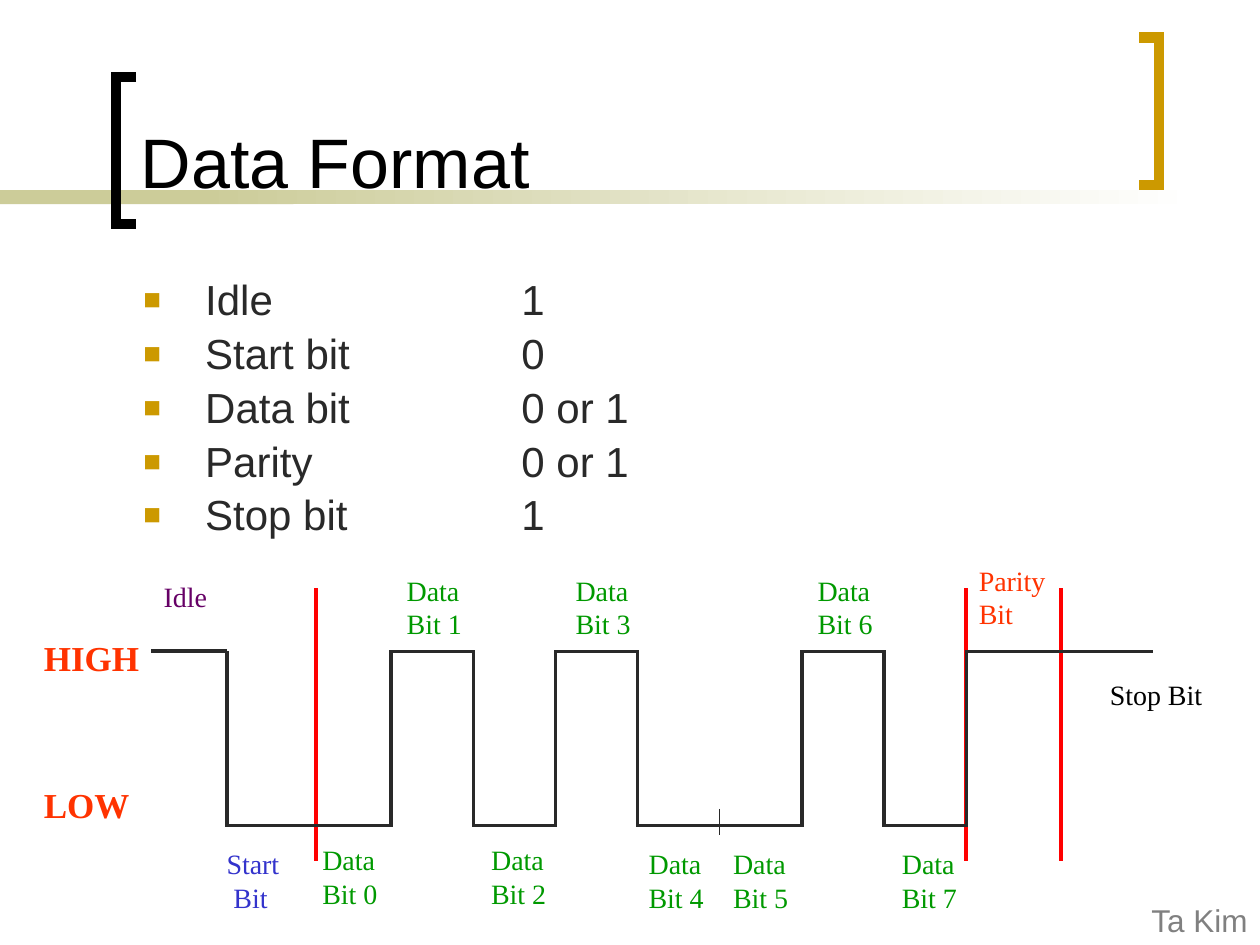
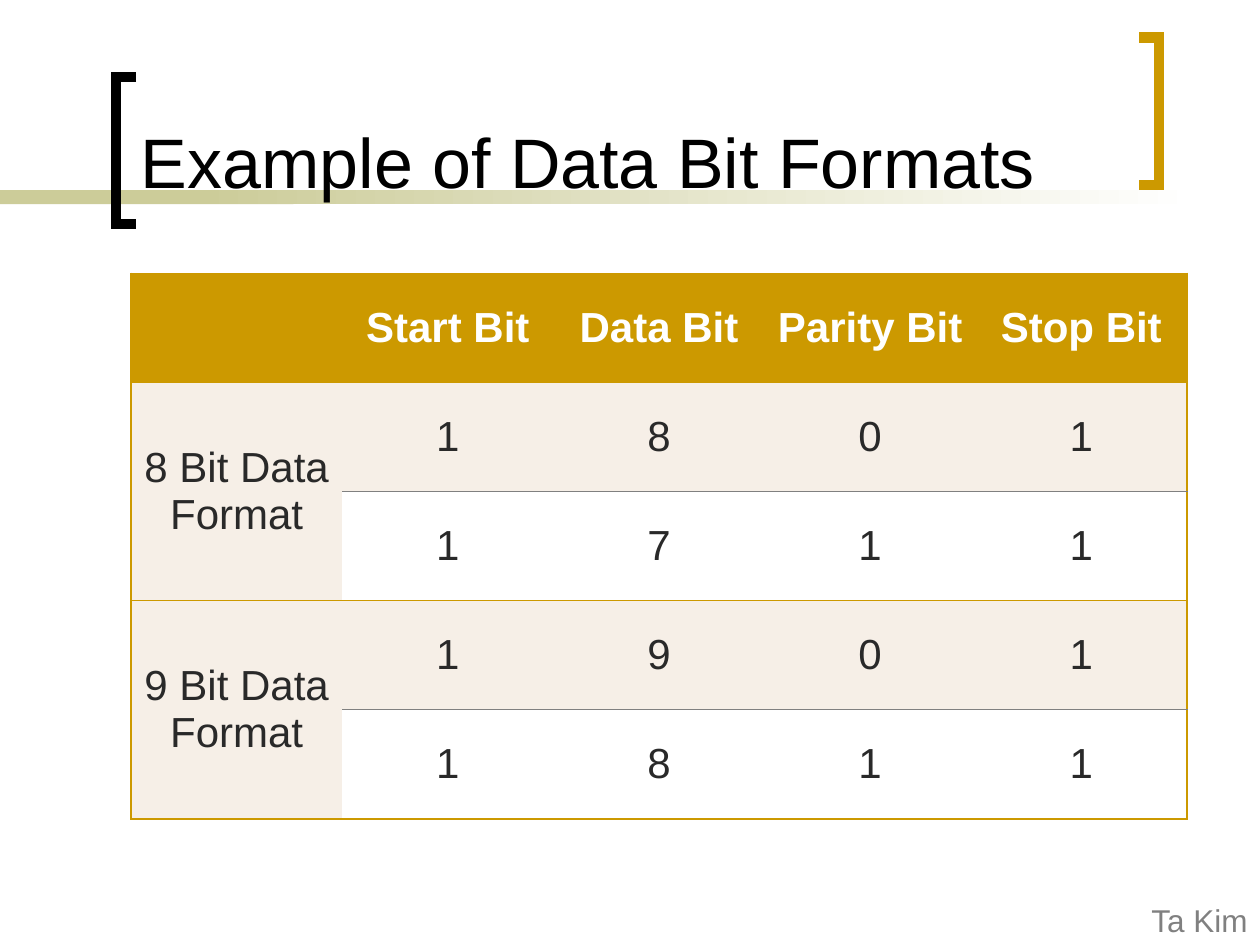
import lxml.etree
import pptx
import pptx.dml.color
import pptx.enum.shapes
import pptx.enum.text
import pptx.oxml
import pptx.oxml.ns
import pptx.util

Inches = pptx.util.Inches
Pt = pptx.util.Pt
Align = pptx.enum.text.PP_ALIGN
Anchor = pptx.enum.text.MSO_ANCHOR
rgb = pptx.dml.color.RGBColor.from_string
qn = pptx.oxml.ns.qn

BLACK, WHITE, INK, GRAY = "000000", "FFFFFF", "292929", "808080"
GOLD, KHAKI, CREAM = "CC9900", "CCCC99", "F6EFE7"
RED, ORANGE, GREEN, BLUE, PURPLE = "FF0000", "FF3300", "009900", "3333CC", "660066"
SANS, SERIF = "Arial", "Times New Roman"


def add_text(slide, box, lines, size, color, font=SERIF, bold=False, wrap=False):
    """Add a text box with one paragraph per line and return its text frame."""
    frame = slide.shapes.add_textbox(*[Inches(value) for value in box]).text_frame
    frame.word_wrap = wrap
    if not wrap:
        frame.auto_size = pptx.enum.text.MSO_AUTO_SIZE.SHAPE_TO_FIT_TEXT
    frame.text = "\n".join(lines)
    for paragraph in frame.paragraphs:
        for run in paragraph.runs:
            run.font.name = font
            run.font.size = Pt(size)
            run.font.bold = bold
            run.font.color.rgb = rgb(color)
    return frame


def add_outline(slide, points, color, width):
    """Draw an open, unfilled line with square corners through the points."""
    corners = [(Inches(x), Inches(y)) for x, y in points]
    builder = slide.shapes.build_freeform(*corners[0])
    builder.add_line_segments(corners[1:], close=False)
    shape = builder.convert_to_shape()
    shape.shadow.inherit = False
    shape.fill.background()
    shape.line.color.rgb = rgb(color)
    shape.line.width = Pt(width)
    miter = lxml.etree.SubElement(shape.line._get_or_add_ln(), qn("a:miter"))
    miter.set("lim", "800000")


presentation = pptx.Presentation()
presentation.slide_width = Inches(10)
presentation.slide_height = Inches(7.5)

# Shared band, brackets, title and footer
slides = []
for title in ("Data Format", "Example of Data Bit Formats"):
    slide = presentation.slides.add_slide(presentation.slide_layouts[6])
    slides.append(slide)
    for left, width, fades in ((0, 2.33, False), (1.58, 7.92, True)):
        band = slide.shapes.add_shape(
            pptx.enum.shapes.MSO_SHAPE.RECTANGLE,
            Inches(left), Inches(1.51), Inches(width), Inches(0.11))
        band.shadow.inherit = False
        band.line.fill.background()
        if fades:
            band.fill.gradient()
            band.fill.gradient_angle = 0
            for stop, color in zip(band.fill.gradient_stops, (KHAKI, WHITE)):
                stop.color.rgb = rgb(color)
        else:
            band.fill.solid()
            band.fill.fore_color.rgb = rgb(KHAKI)
    for outer, inner, top, color in ((0.92, 1.08, 0.61, BLACK), (9.2, 9.04, 0.3, GOLD)):
        bottom = top + 1.17
        add_outline(slide, [(inner, top), (outer, top), (outer, bottom), (inner, bottom)],
                    color, 6)
    frame = add_text(slide, (1.02, 0.11, 7.83, 1.55), [title], 40, BLACK, SANS, wrap=True)
    frame.vertical_anchor = Anchor.BOTTOM
    frame = add_text(slide, (8.25, 7.1, 1.75, 0.4), ["Ta Kim"], 18, GRAY, SANS, wrap=True)
    frame.paragraphs[0].alignment = Align.RIGHT

format_slide, example_slide = slides

# Slide 1: bit values, aligned in a column by one tab stop
bit_values = [("Idle", "1"), ("Start bit", "0"), ("Data bit", "0 or 1"),
              ("Parity", "0 or 1"), ("Stop bit", "1")]
frame = add_text(format_slide, (1.04, 2.17, 8.38, 2.17),
                 [f"{name}\t{value}" for name, value in bit_values],
                 24, INK, SANS, wrap=True)
for paragraph in frame.paragraphs:
    paragraph.line_spacing = 0.9
    paragraph.space_before = Pt(4.8)
    properties = paragraph._p.get_or_add_pPr()
    properties.set("marL", str(Inches(0.49)))
    properties.set("indent", str(Inches(-0.49)))
    bullet_color = lxml.etree.SubElement(properties, qn("a:buClr"))
    lxml.etree.SubElement(bullet_color, qn("a:srgbClr")).set("val", GOLD)
    lxml.etree.SubElement(properties, qn("a:buSzPct")).set("val", "70000")
    lxml.etree.SubElement(properties, qn("a:buFont")).set("typeface", SANS)
    lxml.etree.SubElement(properties, qn("a:buChar")).set("char", "■")
    tab_stops = lxml.etree.SubElement(properties, qn("a:tabLst"))
    tab_stop = lxml.etree.SubElement(tab_stops, qn("a:tab"))
    tab_stop.set("pos", str(Inches(3)))
    tab_stop.set("algn", "l")

# Slide 1: timing diagram
HIGH, LOW = 5.17, 6.55
WAVE_LEFT, PARITY_LEFT, WAVE_RIGHT = 1.8, 7.67, 9.15
data_bits = [0, 1, 0, 1, 0, 0, 1, 0]
frame_bits = [0] + data_bits
bit_width = (PARITY_LEFT - WAVE_LEFT) / len(frame_bits)

for index, bit in enumerate(data_bits):
    left = 2.46 + 0.67 * index if index < 4 else 5.05 + 0.67 * (index - 4)
    low_top = 6.64 if index < 4 else 6.67
    add_text(format_slide, (left, 4.5 if bit else low_top, 0.7, 0.64),
             ["Data", f"Bit {index}"], 16, GREEN, wrap=True)

for box, lines, size, color, bold in (
        ((1.7, 6.67, 0.83, 0.64), ["Start", " Bit"], 16, BLUE, False),
        ((7.67, 4.42, 0.8, 0.64), ["Parity", "Bit"], 16, ORANGE, False),
        ((8.71, 5.33, 1.1, 0.37), ["Stop Bit"], 16, BLACK, False),
        ((1.2, 4.55, 0.83, 0.37), ["Idle"], 16, PURPLE, False),
        ((0.25, 5, 1.1, 0.43), ["HIGH"], 20, ORANGE, True),
        ((0.25, 6.17, 1.1, 0.43), ["LOW"], 20, ORANGE, True)):
    add_text(format_slide, box, lines, size, color, bold=bold, wrap=True)

separators = [(x, 6.83, x, 4.67, RED, 2.25) for x in (2.51, 8.42, PARITY_LEFT)]
bit_tick = (5.71, 6.42, 5.71, 6.63, INK, 0.75)
idle_line = (WAVE_LEFT, HIGH, 1.2, HIGH, INK, 2.25)
for *ends, color, width in [bit_tick, *separators, idle_line]:
    connector = format_slide.shapes.add_connector(
        pptx.enum.shapes.MSO_CONNECTOR.STRAIGHT, *[Inches(value) for value in ends])
    connector.line.color.rgb = rgb(color)
    connector.line.width = Pt(width)
    lxml.etree.SubElement(connector._element.spPr, qn("a:effectLst"))

wave = [(WAVE_LEFT, HIGH)]
for index, bit in enumerate(frame_bits):
    level = HIGH if bit else LOW
    left = WAVE_LEFT + index * bit_width
    wave += [(left, level), (left + bit_width, level)]
wave += [(PARITY_LEFT, HIGH), (WAVE_RIGHT, HIGH)]
add_outline(format_slide, wave, INK, 2)

# Slide 2: table of formats
rows = [
    ["", "Start Bit", "Data Bit", "Parity Bit", "Stop Bit"],
    ["8 Bit Data Format", "1", "8", "0", "1"],
    ["", "1", "7", "1", "1"],
    ["9 Bit Data Format", "1", "9", "0", "1"],
    ["", "1", "8", "1", "1"],
]
last = len(rows[0]) - 1
table = example_slide.shapes.add_table(
    len(rows), len(rows[0]), Inches(1.04), Inches(2.17), Inches(8.38), Inches(4.33)).table
NO_STYLE = "{2D5ABB26-0587-4C30-8999-92F81FD0307C}"
table._tbl.tblPr.find(qn("a:tableStyleId")).text = NO_STYLE
table.horz_banding = False
for row in (1, 3):
    table.cell(row, 0).merge(table.cell(row + 1, 0))

for row, values in enumerate(rows):
    for column, value in enumerate(values):
        cell = table.cell(row, column)
        borders = {}
        if column == 0:
            borders["a:lnL"] = GOLD
        if column == last:
            borders["a:lnR"] = GOLD
        if row == 0:
            borders["a:lnT"] = GOLD
        borders["a:lnB"] = GOLD if column == 0 or row % 2 == 0 else GRAY
        for tag, color in borders.items():
            border = lxml.etree.SubElement(cell._tc.get_or_add_tcPr(), qn(tag))
            border.set("w", str(Pt(1 if color == GOLD else 0.75)))
            fill = lxml.etree.SubElement(border, qn("a:solidFill"))
            lxml.etree.SubElement(fill, qn("a:srgbClr")).set("val", color)
        cell.fill.solid()
        shaded = CREAM if column == 0 or row % 2 else WHITE
        cell.fill.fore_color.rgb = rgb(GOLD if row == 0 else shaded)
        cell.vertical_anchor = Anchor.MIDDLE
        if value:
            cell.text_frame.text = value
            paragraph = cell.text_frame.paragraphs[0]
            paragraph.alignment = Align.CENTER
            font = paragraph.runs[0].font
            font.name = SANS
            font.size = Pt(24)
            font.bold = row == 0
            font.color.rgb = rgb(WHITE if row == 0 else INK)

presentation.save("out.pptx")
